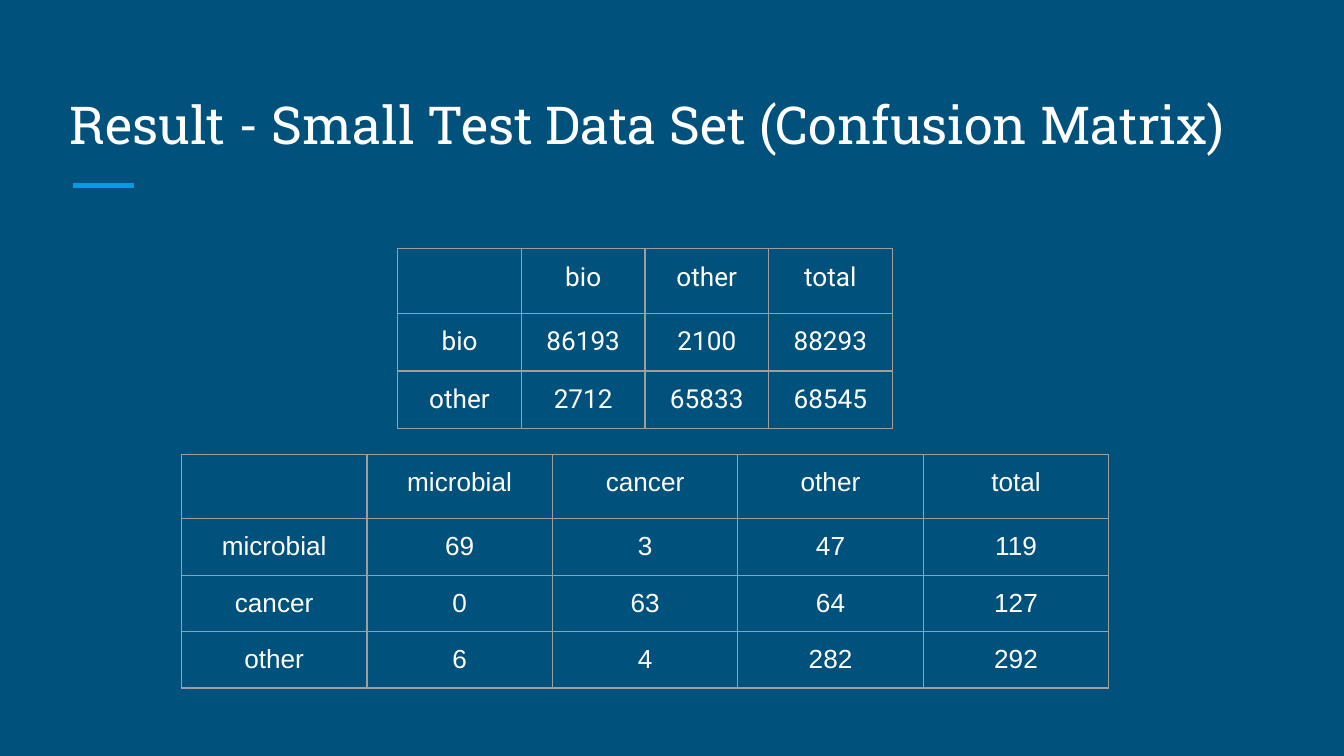
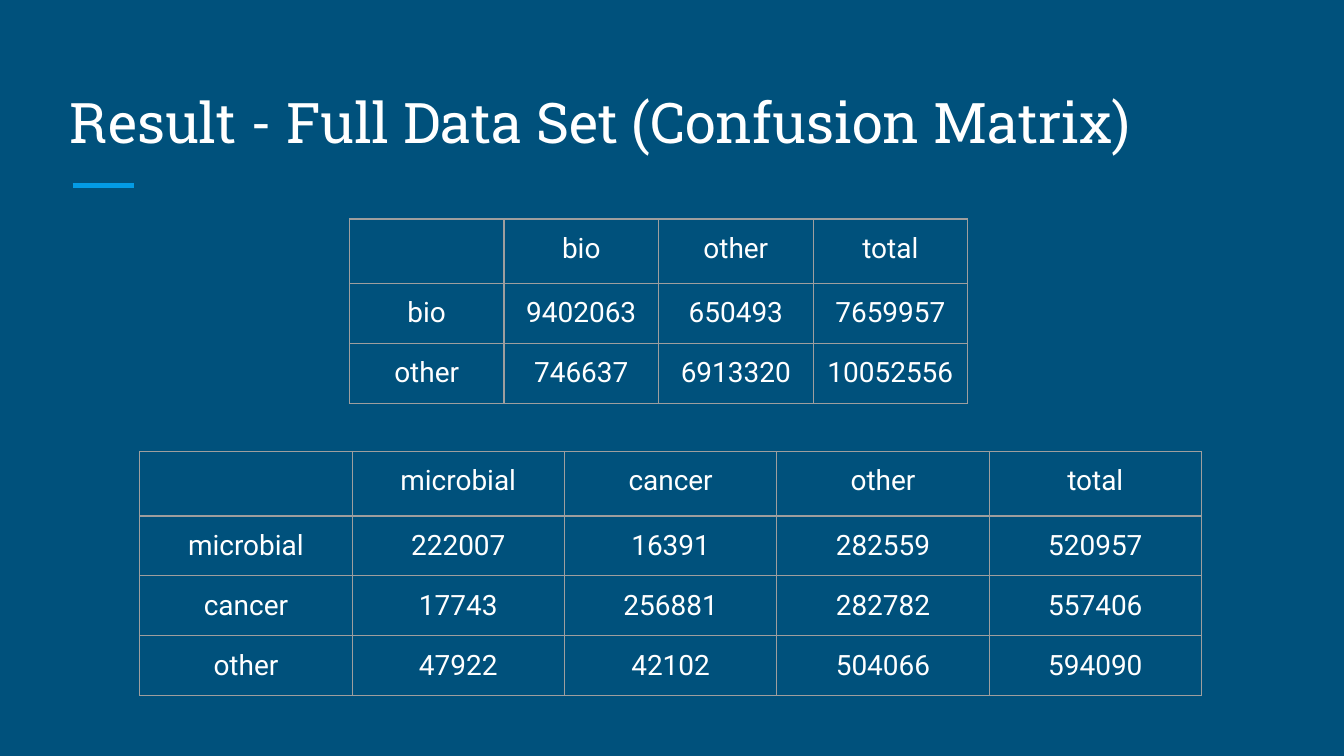
from lxml.etree import SubElement
from pptx import Presentation
from pptx.dml.color import RGBColor
from pptx.enum.shapes import MSO_CONNECTOR
from pptx.enum.text import MSO_ANCHOR, PP_ALIGN
from pptx.oxml.ns import qn
from pptx.util import Inches, Pt

BACKGROUND = "00517C"
ACCENT = "039BE5"
TEXT = "FFFFFF"
GRID = "9E9E9E"
TITLE_FONT = "Roboto Slab"
HEADER_HEIGHT = 0.48
BIO_LABELS = ["bio", "other"]
DISEASE_LABELS = ["microbial", "cancer", "other"]

# Each matrix: left, top, column width, body row height, font, size, labels, counts
RESULTS = [
    ("Result - Small Test Data Set (Confusion Matrix)", 28, [
        (2.96, 1.85, 0.92, 0.43, "Roboto", 14, BIO_LABELS,
         [[86193, 2100, 88293],
          [2712, 65833, 68545]]),
        (1.35, 3.38, 1.38, 0.42, "Arial", 14, DISEASE_LABELS,
         [[69, 3, 47, 119],
          [0, 63, 64, 127],
          [6, 4, 282, 292]]),
    ]),
    ("Result - Full Data Set (Confusion Matrix)", 30, [
        (2.6, 1.63, 1.15, 0.44, "Roboto", 15, BIO_LABELS,
         [[9402063, 650493, 7659957],
          [746637, 6913320, 10052556]]),
        (1.04, 3.36, 1.58, 0.44, "Roboto", 15, DISEASE_LABELS,
         [[222007, 16391, 282559, 520957],
          [17743, 256881, 282782, 557406],
          [47922, 42102, 504066, 594090]]),
    ]),
]


def paint(color_format, hex_color):
    """Set a font, fill or line colour from a hex string."""
    color_format.rgb = RGBColor.from_string(hex_color)


def style_cell(cell, font, size):
    """Draw the cell's grid lines and format its text, if it has any."""
    properties = cell._tc.get_or_add_tcPr()
    for side in ("lnL", "lnR", "lnT", "lnB"):
        border = SubElement(properties, qn(f"a:{side}"), w=str(Pt(0.75)))
        SubElement(SubElement(border, qn("a:solidFill")), qn("a:srgbClr"), val=GRID)
    cell.fill.background()
    if not cell.text:
        return
    cell.margin_left = cell.margin_right = Inches(0.1)
    cell.margin_top = cell.margin_bottom = Inches(0.1)
    paragraph = cell.text_frame.paragraphs[0]
    paragraph.alignment = PP_ALIGN.CENTER
    run_font = paragraph.runs[0].font
    run_font.name, run_font.size, run_font.bold = font, Pt(size), False
    paint(run_font.color, TEXT)


prs = Presentation()
prs.slide_width = Inches(10)
prs.slide_height = prs.slide_width * 9 // 16
master_fill = prs.slide_master.background.fill
master_fill.solid()
paint(master_fill.fore_color, BACKGROUND)
title_only = prs.slide_layouts.get_by_name("Title Only")

for heading, heading_size, matrices in RESULTS:
    slide = prs.slides.add_slide(title_only)

    accent_rule = slide.shapes.add_connector(
        MSO_CONNECTOR.STRAIGHT, Inches(0.54), Inches(1.38), Inches(1), Inches(1.38))
    accent_rule.line.width = Pt(3)
    paint(accent_rule.line.color, ACCENT)
    SubElement(accent_rule._element.spPr, qn("a:effectLst"))

    title = slide.shapes.title
    title.left, title.top = Inches(0.42), Inches(0.5)
    title.width, title.height = Inches(9.15), Inches(0.75)
    frame = title.text_frame
    frame.text = heading
    frame.word_wrap = True
    frame.vertical_anchor = MSO_ANCHOR.BOTTOM
    frame.margin_left = frame.margin_right = Inches(0.1)
    frame.margin_top = frame.margin_bottom = Inches(0.1)
    frame.paragraphs[0].alignment = PP_ALIGN.LEFT
    title_font = frame.paragraphs[0].runs[0].font
    title_font.name, title_font.size = TITLE_FONT, Pt(heading_size)
    paint(title_font.color, TEXT)

    for left, top, column_width, row_height, font, size, labels, counts in matrices:
        rows = [["", *labels, "total"]]
        rows += [[label, *values] for label, values in zip(labels, counts)]
        column_count = len(rows[0])
        matrix = slide.shapes.add_table(
            len(rows), column_count, Inches(left), Inches(top),
            Inches(column_width * column_count),
            Inches(HEADER_HEIGHT + row_height * len(labels))).table
        matrix.first_row = matrix.horz_banding = False
        for column in matrix.columns:
            column.width = Inches(column_width)
        for row_index, values in enumerate(rows):
            matrix.rows[row_index].height = Inches(row_height if row_index else HEADER_HEIGHT)
            for column_index, value in enumerate(values):
                cell = matrix.cell(row_index, column_index)
                cell.text_frame.text = str(value)
                style_cell(cell, font, size)

prs.save("out.pptx")
